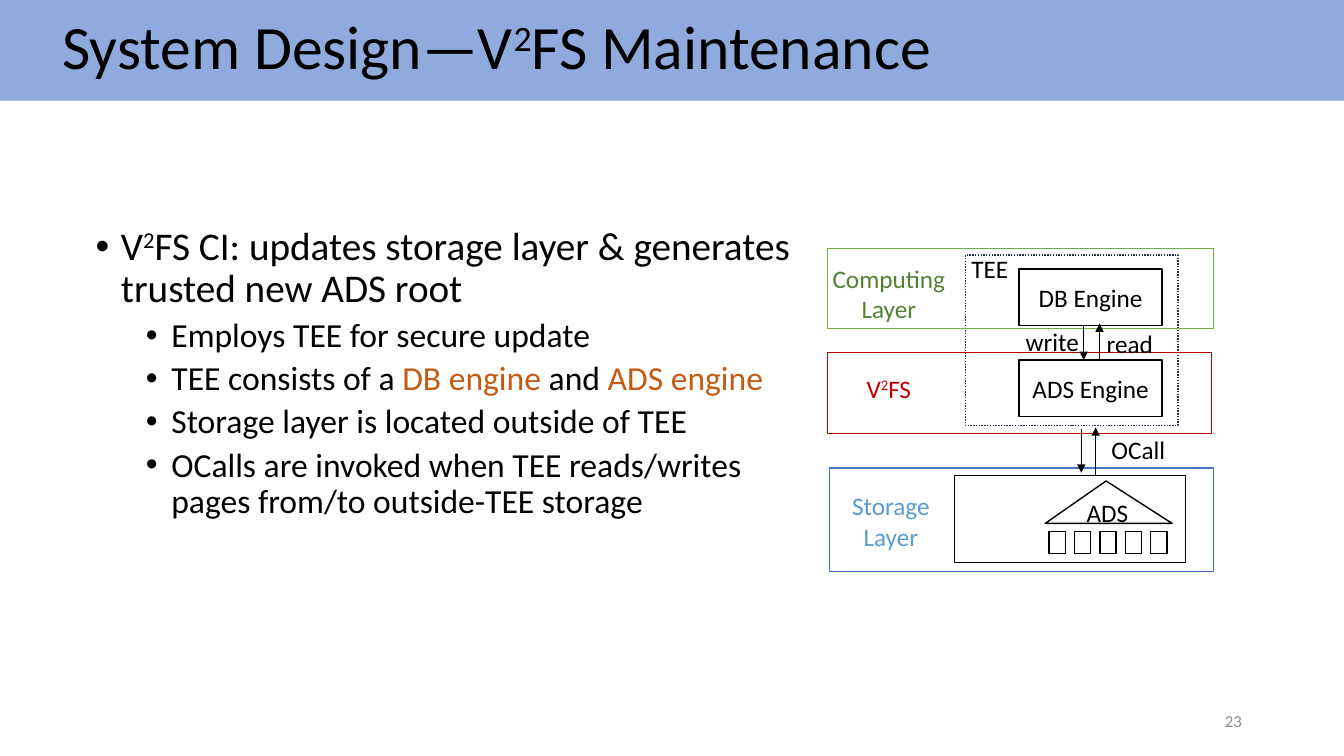
import pptx
import pptx.dml.color
import pptx.enum.dml
import pptx.enum.shapes
import pptx.enum.text
import pptx.oxml.ns
import pptx.util
from lxml import etree

Cm = pptx.util.Cm
Pt = pptx.util.Pt
SHAPE = pptx.enum.shapes.MSO_SHAPE
ALIGN = pptx.enum.text.PP_ALIGN
ANCHOR = pptx.enum.text.MSO_ANCHOR
qn = pptx.oxml.ns.qn

FONT = "Calibri"
COLORS = {
    "black": "000000",
    "white": "FFFFFF",
    "header": "8FAADC",
    "highlight": "C55A11",
    "number": "8C8C8C",
    "enclave": "1E3256",
    "red": "C00000",
    "green": "70AD47",
    "dark green": "548235",
    "blue": "4472C4",
    "light blue": "5B9BD5",
}
SUPERSCRIPT = "superscript"
V2FS = [("V", None), ("2", SUPERSCRIPT), ("FS", None)]


def rgb(name):
    return pptx.dml.color.RGBColor.from_string(COLORS[name])


def write_paragraph(paragraph, content, size, color="black", align=ALIGN.LEFT):
    """Fill a paragraph from a string or from (text, colour or SUPERSCRIPT) pairs."""
    runs = [(content, None)] if isinstance(content, str) else content
    paragraph.alignment = align
    paragraph.font.name = FONT
    paragraph.font.size = Pt(size)
    if len({style for _, style in runs} - {None, SUPERSCRIPT}) == 0:
        paragraph.font.color.rgb = rgb(color)
    for text, style in runs:
        run = paragraph.add_run()
        run.text = text
        run.font.name = FONT
        run.font.size = Pt(size)
        run.font.color.rgb = rgb(style if style in COLORS else color)
        if style == SUPERSCRIPT:
            run._r.get_or_add_rPr().set("baseline", "30000")


def add_text(slide, box, content, size=18, color="black", align=ALIGN.LEFT,
             anchor=ANCHOR.TOP, wrap=True):
    frame = slide.shapes.add_textbox(*map(Cm, box)).text_frame
    frame.word_wrap = wrap
    frame.vertical_anchor = anchor
    write_paragraph(frame.paragraphs[0], content, size, color, align)
    return frame


def add_box(slide, box, line=None, fill=None, text=None, kind=SHAPE.RECTANGLE):
    shape = slide.shapes.add_shape(kind, *map(Cm, box))
    shape.shadow.inherit = False
    if fill:
        shape.fill.solid()
        shape.fill.fore_color.rgb = rgb(fill)
    else:
        shape.fill.background()
    if line:
        shape.line.color.rgb = rgb(line)
        shape.line.width = Pt(1)
    else:
        shape.line.fill.background()
    if text:
        shape.text_frame.vertical_anchor = ANCHOR.MIDDLE
        write_paragraph(shape.text_frame.paragraphs[0], text, 18, align=ALIGN.CENTER)
    return shape


def add_vertical_arrow(slide, x, start, end):
    arrow = slide.shapes.add_connector(
        pptx.enum.shapes.MSO_CONNECTOR.STRAIGHT, Cm(x), Cm(start), Cm(x), Cm(end))
    arrow.line.color.rgb = rgb("black")
    arrow.line.width = Pt(0.5)
    etree.SubElement(arrow.line._get_or_add_ln(), qn("a:tailEnd"), type="triangle")
    etree.SubElement(arrow._element.spPr, qn("a:effectLst"))


def add_bullet(paragraph, content, level):
    properties = paragraph._p.get_or_add_pPr()
    properties.set("marL", str(Cm(0.64 + 1.27 * level)))
    properties.set("indent", str(Cm(-0.64)))
    etree.SubElement(properties, qn("a:buFont"), typeface="Arial")
    etree.SubElement(properties, qn("a:buChar"), char="•")
    paragraph.level = level
    paragraph.line_spacing = 0.9
    if level:
        paragraph.space_before = Pt(5)
    write_paragraph(paragraph, content, 24 if level else 28)


def add_bullets(slide, box, items):
    frame = slide.shapes.add_textbox(*map(Cm, box)).text_frame
    frame.word_wrap = True
    for index, (level, content) in enumerate(items):
        paragraph = frame.add_paragraph() if index else frame.paragraphs[0]
        add_bullet(paragraph, content, level)


def add_engines(slide):
    for top, name in ((9.07, "ADS Engine"), (6.78, "DB Engine")):
        add_box(slide, (25.68, top, 3.61, 1.42), "black", text=name)
    enclave = add_box(slide, (24.33, 6.43, 5.36, 4.29), "enclave")
    enclave.line.dash_style = pptx.enum.dml.MSO_LINE.ROUND_DOT
    add_text(slide, (24.23, 6.25, 1.55, 1.02), "TEE", wrap=False)


def add_storage(slide):
    add_box(slide, (24.05, 11.99, 5.82, 2.18), "black")
    tree = add_box(slide, (26.34, 12.12, 3.2, 1.07), "black", text="ADS",
                   kind=SHAPE.ISOSCELES_TRIANGLE)
    tree.adjustments[0] = 0.48
    for page in range(5):
        add_box(slide, (26.44 + 0.64 * page, 13.39, 0.41, 0.56), "black", "white")


def add_layers(slide):
    layers = (
        ((20.85, 8.89, 9.68, 2.03), "red", (20.52, 9.27, 3.76, 1.02), V2FS, "red"),
        ((20.85, 6.27, 9.73, 2.01), "green", (20.52, 6.5, 3.76, 1.8),
         "Computing Layer", "dark green"),
        ((20.9, 11.79, 9.68, 2.62), "blue", (20.57, 12.24, 3.76, 1.8),
         "Storage Layer", "light blue"),
    )
    for box, line, label_box, label, color in layers:
        add_box(slide, box, line)
        add_text(slide, label_box, label, color=color, align=ALIGN.CENTER)


def add_calls(slide):
    for box, label in (
        ((25.6, 8.1, 1.85, 1.02), "write"),
        ((27.64, 8.15, 1.68, 1.02), "read"),
        ((27.76, 10.82, 1.88, 1.02), "OCall"),
    ):
        add_text(slide, box, label, wrap=False)
    for x, start, end in (
        (27.31, 8.18, 9.07),
        (27.71, 9.07, 8.15),
        (27.61, 11.99, 10.77),
        (27.25, 10.8, 11.91),
    ):
        add_vertical_arrow(slide, x, start, end)


def main():
    presentation = pptx.Presentation()
    presentation.slide_width = Cm(33.87)
    presentation.slide_height = Cm(19.05)
    slide = presentation.slides.add_slide(presentation.slide_layouts[6])

    add_box(slide, (0, -0.03, 33.87, 2.57), fill="header")
    title = add_text(
        slide, (1.32, -0.03, 30.71, 2.57),
        [("System Design—V", None), ("2", SUPERSCRIPT), ("FS Maintenance", None)],
        size=44, anchor=ANCHOR.MIDDLE)
    title.paragraphs[0].line_spacing = 0.9
    add_bullets(slide, (2.16, 5.59, 18.8, 8.61), (
        (0, [("V", None), ("2", SUPERSCRIPT),
             ("FS CI: updates storage layer & generates trusted new ADS root", None)]),
        (1, "Employs TEE for secure update"),
        (1, [("TEE consists of a ", None), ("DB engine ", "highlight"),
             ("and ", None), ("ADS engine", "highlight")]),
        (1, "Storage layer is located outside of TEE"),
        (1, "OCalls are invoked when TEE reads/writes pages from/to outside-TEE storage"),
    ))
    add_text(slide, (23.93, 17.65, 7.62, 1.02), "23", 12, "number",
             ALIGN.RIGHT, ANCHOR.MIDDLE)

    add_engines(slide)
    add_storage(slide)
    add_layers(slide)
    add_calls(slide)
    presentation.save("out.pptx")


if __name__ == "__main__":
    main()
